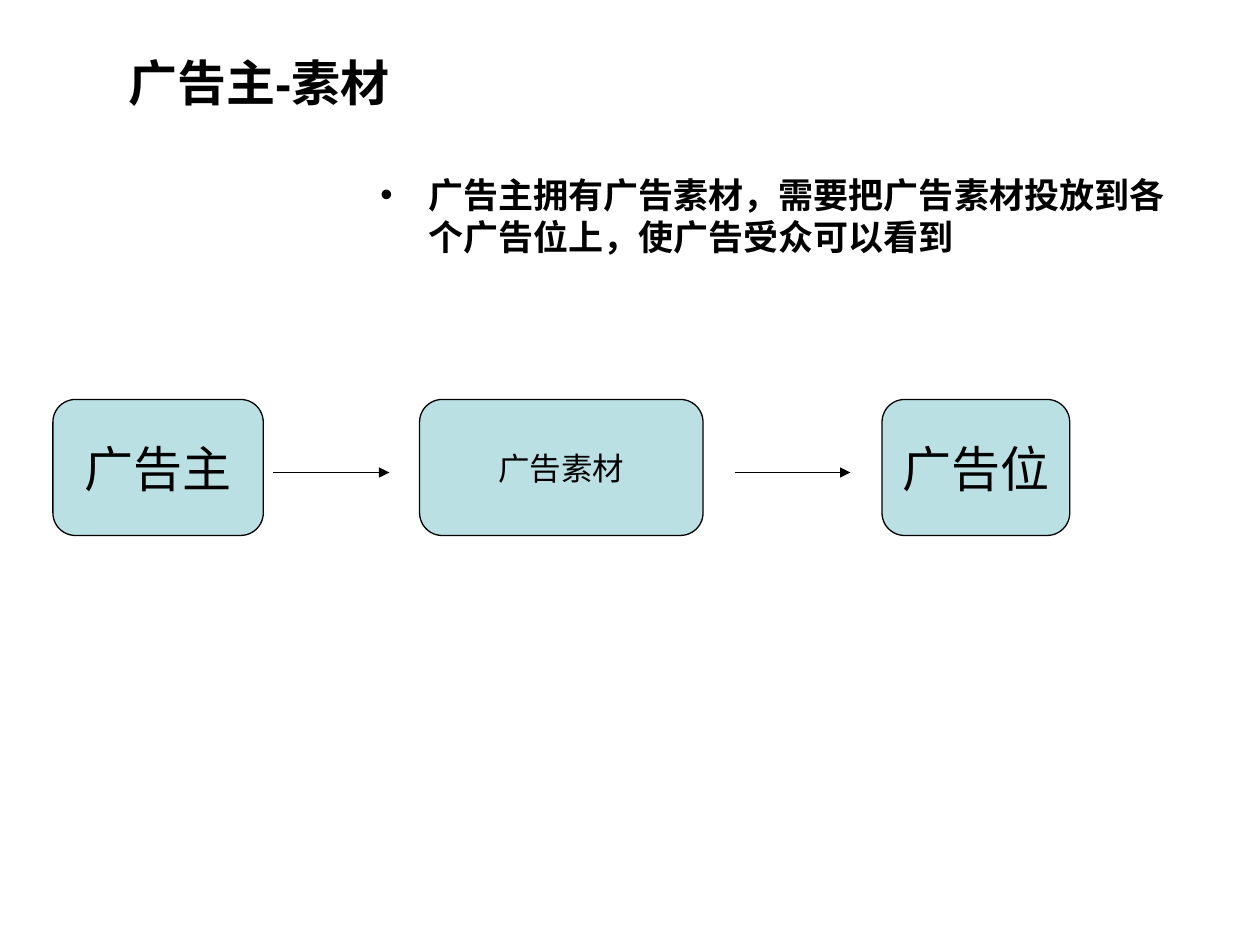
from dataclasses import dataclass

from lxml import etree
from pptx import Presentation
from pptx.dml.color import RGBColor
from pptx.enum.shapes import MSO_CONNECTOR, MSO_SHAPE
from pptx.enum.text import MSO_ANCHOR, PP_ALIGN
from pptx.oxml.ns import qn
from pptx.util import Inches, Pt

ROUNDED = MSO_SHAPE.ROUNDED_RECTANGLE
STRAIGHT = MSO_CONNECTOR.STRAIGHT
MIDDLE = MSO_ANCHOR.MIDDLE
TOP = MSO_ANCHOR.TOP
LEFT = PP_ALIGN.LEFT
CENTER = PP_ALIGN.CENTER


@dataclass(frozen=True)
class Theme:
    ink: RGBColor = RGBColor(0x00, 0x00, 0x00)
    node_fill: RGBColor = RGBColor(0xBB, 0xE0, 0xE3)
    latin: str = "Arial"
    chinese: str = "Noto Sans CJK SC"
    large: int = 28
    body: int = 20
    small: int = 18
    line: float = 0.75


THEME = Theme()


def add_span(para, text, size, font, bold=False):
    span = para.add_run()
    span.text = text
    span.font.size = Pt(size)
    span.font.name = font
    span.font.bold = bold
    span.font.color.rgb = THEME.ink
    # Chinese glyphs use the East Asian typeface
    east_asian = etree.SubElement(span._r.get_or_add_rPr(), qn("a:ea"))
    east_asian.set("typeface", THEME.chinese)


def add_bullet(para, indent):
    properties = para._p.get_or_add_pPr()
    properties.set("marL", str(indent))
    properties.set("indent", str(-indent))
    font = etree.SubElement(properties, qn("a:buFont"))
    font.set("typeface", THEME.latin)
    etree.SubElement(properties, qn("a:buChar")).set("char", "•")


def add_text(page, text, left, top, width, height, size, font, anchor, bullet=False):
    box = page.shapes.add_textbox(
        Inches(left), Inches(top), Inches(width), Inches(height))
    box.text_frame.word_wrap = True
    box.text_frame.vertical_anchor = anchor
    para = box.text_frame.paragraphs[0]
    para.alignment = LEFT
    if bullet:
        add_bullet(para, Inches(0.38))
    add_span(para, text, size, font, bold=True)


def add_node(page, text, left, width, size):
    node = page.shapes.add_shape(
        ROUNDED, Inches(left), Inches(3.17), Inches(width), Inches(1.08))
    node.shadow.inherit = False
    node.fill.solid()
    node.fill.fore_color.rgb = THEME.node_fill
    node.line.color.rgb = THEME.ink
    node.line.width = Pt(THEME.line)
    node.text_frame.word_wrap = False
    node.text_frame.vertical_anchor = MIDDLE
    para = node.text_frame.paragraphs[0]
    para.alignment = CENTER
    add_span(para, text, size, THEME.latin)


def add_arrow(page, left):
    y = Inches(3.75)
    arrow = page.shapes.add_connector(
        STRAIGHT, Inches(left), y, Inches(left + 0.92), y)
    arrow.line.color.rgb = THEME.ink
    arrow.line.width = Pt(THEME.line)
    tail = etree.SubElement(arrow.line._get_or_add_ln(), qn("a:tailEnd"))
    tail.set("type", "triangle")
    etree.SubElement(arrow._element.spPr, qn("a:effectLst"))


def main():
    deck = Presentation()
    deck.slide_width = Inches(10)
    deck.slide_height = Inches(7.5)
    page = deck.slides.add_slide(deck.slide_layouts[6])

    # Title and explanation
    add_text(page, "广告主-素材", 0.92, 0.25, 8.58, 0.8,
             THEME.large, THEME.latin, MIDDLE)
    add_text(page, "广告主拥有广告素材，需要把广告素材投放到各个广告位上，使广告受众可以看到",
             2.92, 1.33, 6.58, 1.84, THEME.body, THEME.chinese, TOP, bullet=True)

    # Flow from advertiser to ad slot
    for text, left, width, size in (
        ("广告主", 0.42, 1.67, THEME.large),
        ("广告素材", 3.33, 2.25, THEME.small),
        ("广告位", 7, 1.49, THEME.large),
    ):
        add_node(page, text, left, width, size)
    for left in (2.17, 5.83):
        add_arrow(page, left)

    deck.save("out.pptx")


if __name__ == "__main__":
    main()
